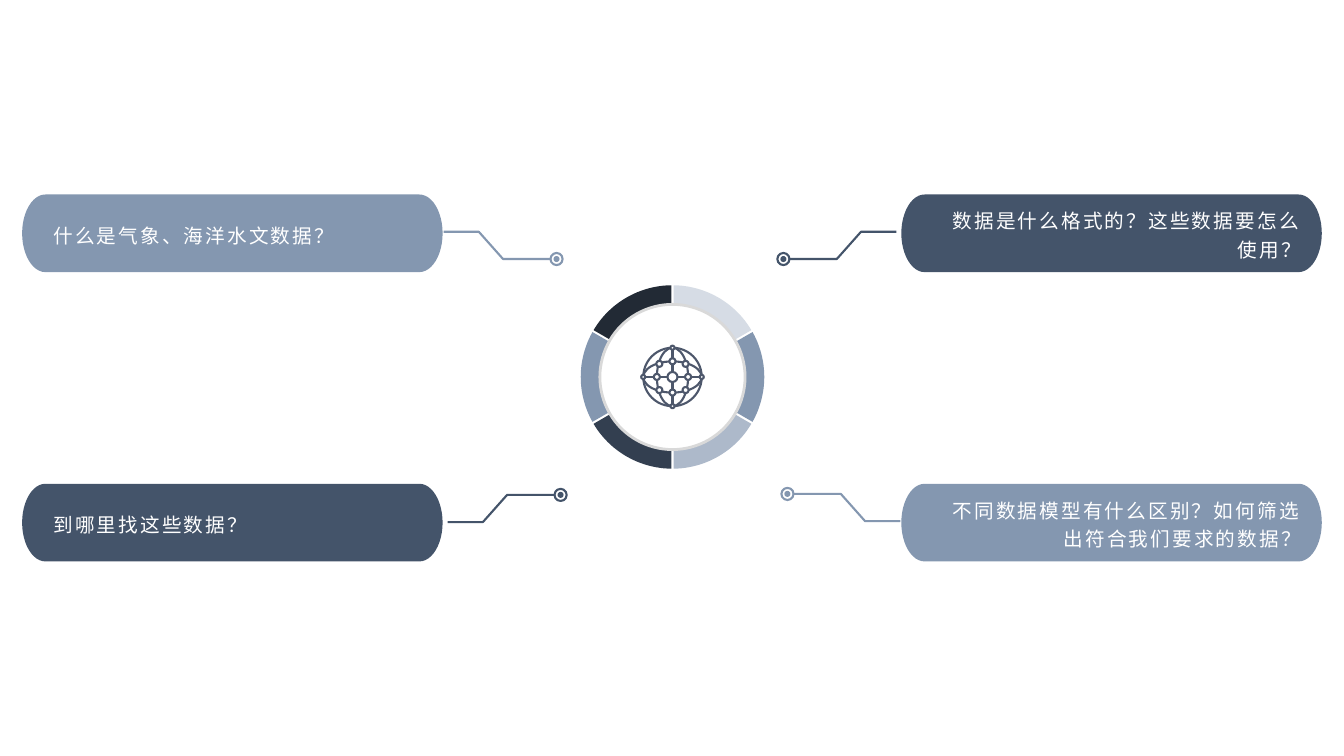
from math import cos, radians, sin

from lxml.etree import SubElement
from pptx import Presentation
from pptx.dml.color import RGBColor
from pptx.enum.shapes import MSO_CONNECTOR, MSO_SHAPE
from pptx.enum.text import MSO_ANCHOR, PP_ALIGN
from pptx.oxml.ns import qn
from pptx.util import Inches, Pt

FONT = "Noto Sans CJK SC"
COLORS = {
    "white": "FFFFFF", "rim": "D9D9D9", "globe": "4D576B",
    "slate": "44546A", "steel": "8497B0", "night": "222A35",
    "ink": "333F50", "mist": "D6DCE5", "haze": "ADB9CA",
}
# Clockwise from the top of the wheel
SECTORS = ["mist", "steel", "haze", "ink", "steel", "night"]
# Question, colour, pill left and top, leader ring centre, side, leader rise
QUESTIONS = [
    ("数据是什么格式的？这些数据要怎么使用？", "slate", (8.94, 1.93), (7.77, 2.57), 1, -0.27),
    ("不同数据模型有什么区别？如何筛选出符合我们要求的数据？", "steel",
     (8.94, 4.8), (7.81, 4.9), 1, 0.27),
    ("什么是气象、海洋水文数据？", "steel", (0.22, 1.93), (5.52, 2.57), -1, -0.27),
    ("到哪里找这些数据？", "slate", (0.22, 4.8), (5.56, 4.91), -1, 0.27),
]
CENTER_X, CENTER_Y = 6.67, 3.74
WHEEL_RADIUS, HUB_RADIUS, SECTOR_GAP = 0.91, 0.72, 0.02
GLOBE_RADIUS, GLOBE_INNER, GLOBE_DIAGONAL = 0.29, 0.155, 0.13
PILL_WIDTH, PILL_HEIGHT, PILL_CAP = 4.17, 0.77, 0.23

presentation = Presentation()
presentation.slide_width, presentation.slide_height = Inches(13.33), Inches(7.5)
slide = presentation.slides.add_slide(presentation.slide_layouts[6])
shapes = slide.shapes


def color(name):
    return RGBColor.from_string(COLORS[name])


def paint(shape, fill=None, line=None, width=1.5):
    shape.shadow.inherit = False
    if fill:
        shape.fill.solid()
        shape.fill.fore_color.rgb = color(fill)
    else:
        shape.fill.background()
    if line:
        shape.line.color.rgb = color(line)
        shape.line.width = Pt(width)
    else:
        shape.line.fill.background()


def add_outline(points, closed=True, **style):
    points = [(Inches(x), Inches(y)) for x, y in points]
    builder = shapes.build_freeform(*points[0])
    builder.add_line_segments(points[1:], close=closed)
    paint(builder.convert_to_shape(), **style)


def add_ellipse(x, y, radius_x, radius_y=None, **style):
    """Add an ellipse around its centre; one radius makes a circle."""
    radius_y = radius_y or radius_x
    paint(shapes.add_shape(MSO_SHAPE.OVAL, Inches(x - radius_x), Inches(y - radius_y),
                           Inches(2 * radius_x), Inches(2 * radius_y)), **style)


def arc(x, y, radius_x, radius_y, start, end, steps=24):
    """Points of an arc; degrees run clockwise from the top."""
    angles = [radians(start + (end - start) * i / steps) for i in range(steps + 1)]
    return [(x + radius_x * sin(a), y - radius_y * cos(a)) for a in angles]


def add_wheel():
    for index, name in enumerate(SECTORS):
        start = 60 * index
        apex = arc(CENTER_X, CENTER_Y, SECTOR_GAP, SECTOR_GAP, start + 30, start + 30, 1)[0]
        rim = arc(CENTER_X, CENTER_Y, WHEEL_RADIUS, WHEEL_RADIUS, start + 0.7, start + 59.3)
        add_outline([apex] + rim, fill=name)
    add_ellipse(CENTER_X, CENTER_Y, HUB_RADIUS, fill="white", line="rim", width=2)


def add_globe():
    for radius_x, radius_y in [(GLOBE_RADIUS, GLOBE_RADIUS), (GLOBE_INNER, GLOBE_RADIUS),
                               (GLOBE_RADIUS, GLOBE_INNER)]:
        add_ellipse(CENTER_X, CENTER_Y, radius_x, radius_y, line="globe")
    for dx, dy in [(GLOBE_RADIUS, 0), (0, GLOBE_RADIUS)]:
        axis = shapes.add_connector(
            MSO_CONNECTOR.STRAIGHT, Inches(CENTER_X - dx), Inches(CENTER_Y - dy),
            Inches(CENTER_X + dx), Inches(CENTER_Y + dy))
        axis.line.color.rgb = color("globe")
        axis.line.width = Pt(1.5)
        SubElement(axis._element.spPr, qn("a:effectLst"))
    nodes = [(0, 0, 0.05)]
    for dx, dy in [(1, 0), (-1, 0), (0, 1), (0, -1)]:
        nodes += [(dx * GLOBE_INNER, dy * GLOBE_INNER, 0.03),
                  (dx * GLOBE_RADIUS, dy * GLOBE_RADIUS, 0.02)]
    nodes += [(dx * GLOBE_DIAGONAL, dy * GLOBE_DIAGONAL, 0.03)
              for dx in (-1, 1) for dy in (-1, 1)]
    for dx, dy, radius in nodes:
        add_ellipse(CENTER_X + dx, CENTER_Y + dy, radius, fill="white", line="globe")


def add_leader(x, y, side, rise, name):
    steps = [(0.06, 0), (0.53, 0), (0.77, rise), (1.12, rise)]
    add_outline([(x + side * dx, y + dy) for dx, dy in steps], closed=False, line=name)
    add_ellipse(x, y, 0.06, line=name)
    add_ellipse(x, y, 0.03, fill=name)


def add_pill(left, top, name):
    middle, half = top + PILL_HEIGHT / 2, PILL_HEIGHT / 2
    add_outline(arc(left + PILL_WIDTH - PILL_CAP, middle, PILL_CAP, half, 0, 180)
                + arc(left + PILL_CAP, middle, PILL_CAP, half, 180, 360), fill=name)


def add_question(text, left, top, align):
    box = shapes.add_textbox(Inches(left + 0.21), Inches(top + 0.04),
                             Inches(3.85), Inches(0.68))
    frame = box.text_frame
    frame.word_wrap = True
    frame.vertical_anchor = MSO_ANCHOR.MIDDLE
    paragraph = frame.paragraphs[0]
    paragraph.alignment = align
    paragraph.line_spacing = 1.2
    run = paragraph.add_run()
    run.text = text
    run.font.size = Pt(14)
    run.font.name = FONT
    run.font.color.rgb = color("white")
    properties = run._r.get_or_add_rPr()
    properties.set("spc", "150")
    SubElement(properties, qn("a:ea")).set("typeface", FONT)


add_wheel()
add_globe()
for text, name, pill, ring, side, rise in QUESTIONS:
    add_leader(*ring, side, rise, name)
    add_pill(*pill, name)
    add_question(text, *pill, PP_ALIGN.RIGHT if side > 0 else PP_ALIGN.LEFT)

presentation.save("out.pptx")
